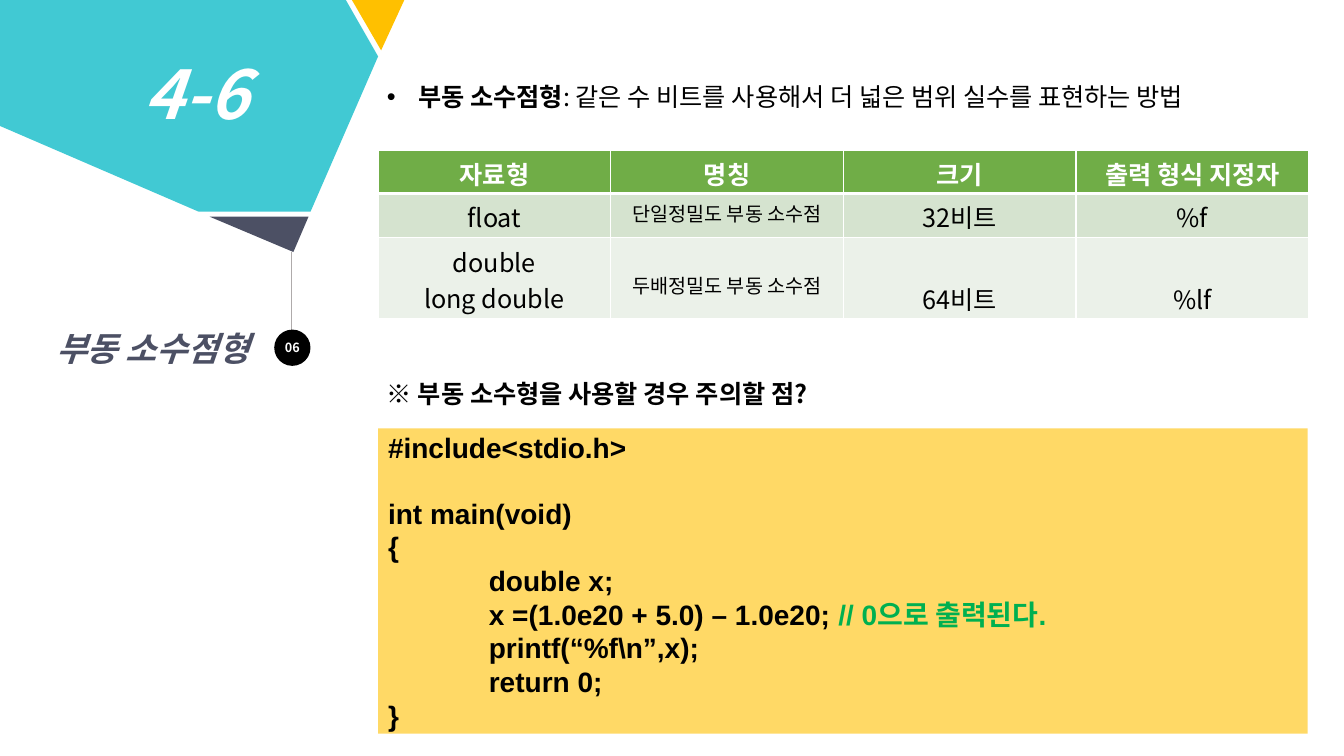
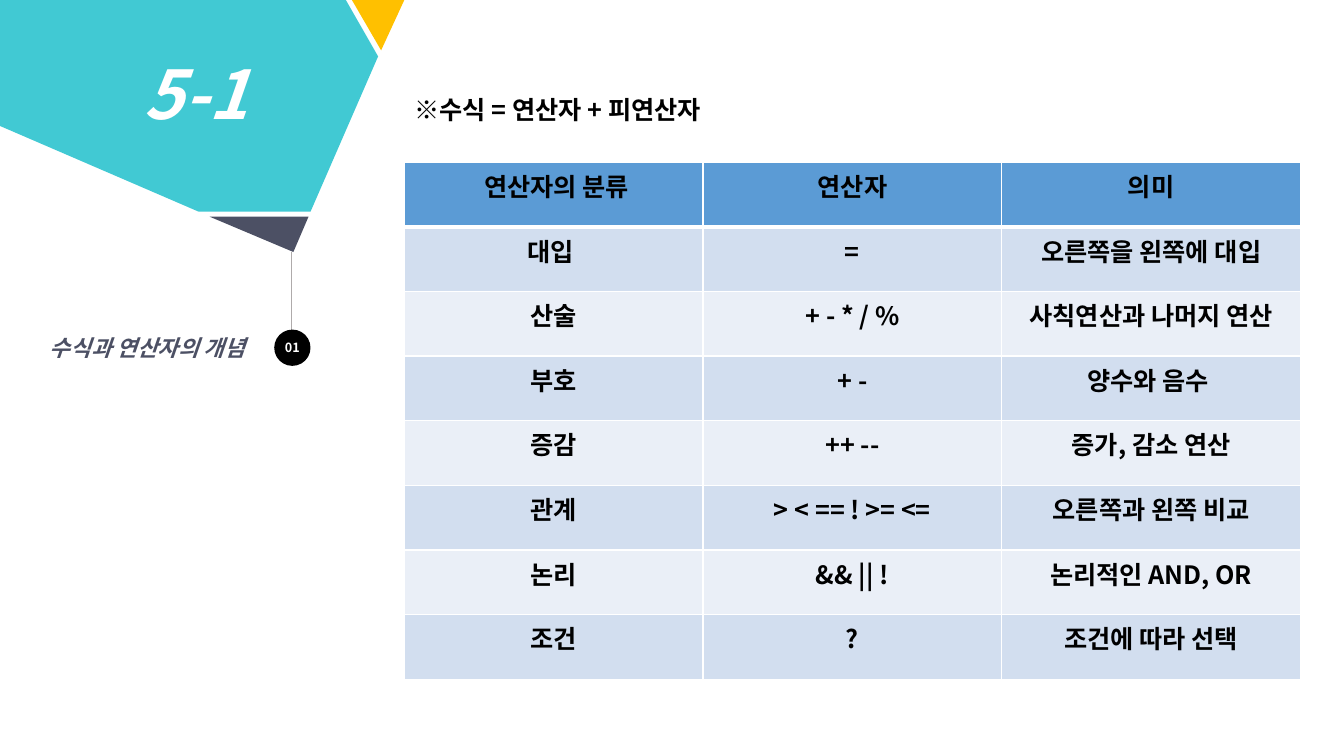
from dataclasses import dataclass
from typing import Any, Optional

from lxml import etree
from pptx import Presentation
from pptx import util as u
from pptx.dml.color import RGBColor
from pptx.enum import shapes, text
from pptx.oxml import ns

Inches, Pt = u.Inches, u.Pt

WHITE = RGBColor(0xFF, 0xFF, 0xFF)
BLACK = RGBColor(0x00, 0x00, 0x00)
TEAL = RGBColor(0x41, 0xC9, 0xD3)
AMBER = RGBColor(0xFF, 0xC0, 0x00)
SLATE = RGBColor(0x4C, 0x50, 0x64)
GRAY = RGBColor(0xAF, 0xAB, 0xAB)
SAND = RGBColor(0xFF, 0xD9, 0x66)
COMMENT = RGBColor(0x00, 0xB0, 0x50)
GREENS = (RGBColor(0x70, 0xAD, 0x47), RGBColor(0xD5, 0xE3, 0xCF), RGBColor(0xEB, 0xF1, 0xE9))
BLUES = (RGBColor(0x5B, 0x9B, 0xD5), RGBColor(0xD2, 0xDE, 0xEF), RGBColor(0xEA, 0xEF, 0xF7))

FONT = "Noto Sans CJK KR"
CODE_FONT = "Arial"
LEFT, CENTER, RIGHT = text.PP_ALIGN.LEFT, text.PP_ALIGN.CENTER, text.PP_ALIGN.RIGHT


@dataclass(frozen=True)
class Style:
    size: float = 18
    bold: bool = True
    italic: bool = False
    color: RGBColor = BLACK
    name: str = FONT


@dataclass(frozen=True)
class Box:
    left: float
    top: float
    width: float
    height: float

    def emu(self) -> tuple:
        return tuple(Inches(v) for v in (self.left, self.top, self.width, self.height))


@dataclass(frozen=True)
class Facet:
    color: RGBColor
    points: tuple


@dataclass(frozen=True)
class Section:
    number: str
    badge: str
    title: str
    title_box: Box
    title_size: float


@dataclass(frozen=True)
class CodeLine:
    text: str
    indent: float = 0
    space_before: float = 0
    comment: str = ""


@dataclass(frozen=True)
class Cell:
    text: str
    style: Style = Style()
    margin_top: float = 0.05


FACETS = (
    Facet(AMBER, ((3.49, 0), (4.01, 0), (3.78, 0.5))),
    Facet(TEAL, ((0, 0), (3.43, 0), (3.75, 0.56), (3.08, 2.1), (1.97, 2.1), (0, 1.25))),
    Facet(SLATE, ((2.08, 2.15), (3.06, 2.15), (2.91, 2.5))),
)

PLAIN = Style(bold=False)
SMALL = Style(size=14, bold=False)
HEAD = Style(color=WHITE)
FLOAT_ROWS = (
    tuple(Cell(t, HEAD) for t in ("자료형", "명칭", "크기", "출력 형식 지정자")),
    (Cell("float", PLAIN), Cell("단일정밀도 부동 소수점", SMALL),
     Cell("32비트", PLAIN), Cell("%f", PLAIN)),
    (Cell("double\nlong double", PLAIN), Cell("두배정밀도 부동 소수점", SMALL, 0.33),
     Cell("64비트", PLAIN, 0.42), Cell("%lf", PLAIN, 0.42)),
)

OPERATOR_ROWS = tuple(tuple(Cell(t) for t in row) for row in (
    (" 연산자의 분류", "연산자", "의미"),
    ("대입 ", "=", "오른쪽을 왼쪽에 대입"),
    ("산술", "+ - * / %", "사칙연산과 나머지 연산"),
    ("부호", "+ -", "양수와 음수 "),
    ("증감", "++ --", "증가, 감소 연산"),
    ("관계", "> < == ! >= <=", "오른쪽과 왼쪽 비교"),
    ("논리", "&& || !", "논리적인 AND, OR"),
    ("조건", "?", "조건에 따라 선택"),
))

CODE = (
    CodeLine("#include<stdio.h>"),
    CodeLine("int main(void)", space_before=23),
    CodeLine("{"),
    CodeLine("double x;", 1),
    CodeLine("x =(1.0e20 + 5.0) – 1.0e20; ", 1, comment="// 0으로 출력된다."),
    CodeLine(r"printf(“%f\n”,x);", 1),
    CodeLine("return 0;", 1),
    CodeLine("}"),
)


def add_run(p: Any, content: str, style: Style) -> None:
    r = p.add_run()
    r.text = content
    values = {"size": Pt(style.size), "bold": style.bold,
              "italic": style.italic, "name": style.name}
    for key, value in values.items():
        setattr(r.font, key, value)
    r.font.color.rgb = style.color
    east_asian = etree.SubElement(r.font._element, ns.qn("a:ea"))
    east_asian.set("typeface", FONT)


def set_indent(p: Any, left: float, first: float = 0) -> None:
    pPr = p._p.get_or_add_pPr()
    pPr.set("marL", str(Inches(left)))
    pPr.set("indent", str(Inches(first)))


def add_bullet(p: Any) -> None:
    set_indent(p, 0.31, -0.31)
    pPr = p._p.get_or_add_pPr()
    etree.SubElement(pPr, ns.qn("a:buFont")).set("typeface", CODE_FONT)
    etree.SubElement(pPr, ns.qn("a:buChar")).set("char", "•")


def add_text(slide: Any, box: Box, content: str, style: Style = Style(),
             align: Optional[text.PP_ALIGN] = LEFT, wrap: bool = False) -> Any:
    """Add a one-paragraph text box and return its paragraph."""
    tf = slide.shapes.add_textbox(*box.emu()).text_frame
    tf.word_wrap = wrap
    tf.auto_size = text.MSO_AUTO_SIZE.SHAPE_TO_FIT_TEXT
    p = tf.paragraphs[0]
    p.alignment = align
    add_run(p, content, style)
    return p


def paint(sp: Any, color: RGBColor) -> None:
    """Give a shape a flat fill with no outline or shadow."""
    sp.shadow.inherit = False
    sp.fill.solid()
    sp.fill.fore_color.rgb = color
    sp.line.fill.background()


def add_filled(slide: Any, kind: shapes.MSO_SHAPE, box: Box, color: RGBColor) -> Any:
    sp = slide.shapes.add_shape(kind, *box.emu())
    paint(sp, color)
    tf = sp.text_frame
    tf.vertical_anchor = text.MSO_ANCHOR.MIDDLE
    return tf


def add_facet(slide: Any, facet: Facet) -> None:
    points = [(Inches(x), Inches(y)) for x, y in facet.points]
    builder = slide.shapes.build_freeform(*points[0])
    builder.add_line_segments(points[1:], close=True)
    paint(builder.convert_to_shape(), facet.color)


def add_section_slide(prs: Any, section: Section) -> Any:
    """Add a blank slide with the faceted corner, badge and section titles."""
    slide = prs.slides.add_slide(prs.slide_layouts[6])
    stem = slide.shapes.add_connector(
        shapes.MSO_CONNECTOR.STRAIGHT, Inches(2.89), Inches(2.5), Inches(2.89), Inches(3.63))
    stem.line.color.rgb = GRAY
    stem.line.width = Pt(0.5)
    etree.SubElement(stem._element.spPr, ns.qn("a:effectLst"))
    for facet in FACETS:
        add_facet(slide, facet)

    tf = add_filled(slide, shapes.MSO_SHAPE.OVAL, Box(2.72, 3.27, 0.36, 0.36), BLACK)
    for side in ("left", "top", "right", "bottom"):
        setattr(tf, f"margin_{side}", 0)
    tf.paragraphs[0].alignment = CENTER
    add_run(tf.paragraphs[0], section.badge, Style(size=9, color=WHITE))

    add_text(slide, section.title_box, section.title,
             Style(size=section.title_size, italic=True, color=SLATE), RIGHT, wrap=True)
    add_text(slide, Box(1.33, 0.47, 1.26, 0.91), section.number,
             Style(size=48, italic=True, color=WHITE))
    return slide


def set_borders(cell: Any, top: float, bottom: float) -> None:
    tcPr = cell._tc.get_or_add_tcPr()
    for side, width in {"L": 1, "R": 1, "T": top, "B": bottom}.items():
        line = etree.SubElement(tcPr, ns.qn(f"a:ln{side}"), w=str(Pt(width)))
        fill = etree.SubElement(line, ns.qn("a:solidFill"))
        etree.SubElement(fill, ns.qn("a:srgbClr"), val=str(WHITE))


def add_banded_table(slide: Any, box: Box, rows: tuple, heights: tuple, colors: tuple) -> None:
    """Draw rows of cells; colors are the header, odd and even row fills."""
    table = slide.shapes.add_table(len(rows), len(rows[0]), *box.emu()).table
    for column in table.columns:
        column.width = Inches(box.width / len(rows[0]))
    for i, (row, height) in enumerate(zip(rows, heights)):
        table.rows[i].height = Inches(height)
        color = colors[0] if i == 0 else colors[2 - i % 2]
        for j, item in enumerate(row):
            cell = table.cell(i, j)
            set_borders(cell, top=3 if i == 1 else 1, bottom=3 if i == 0 else 1)
            cell.fill.solid()
            cell.fill.fore_color.rgb = color
            cell.margin_top = Inches(item.margin_top)
            tf = cell.text_frame
            for k, content in enumerate(item.text.split("\n")):
                p = tf.add_paragraph() if k else tf.paragraphs[0]
                p.alignment = CENTER
                add_run(p, content, item.style)


def add_code(slide: Any, box: Box, lines: tuple) -> None:
    tf = add_filled(slide, shapes.MSO_SHAPE.RECTANGLE, box, SAND)
    tf.word_wrap = True
    for i, line in enumerate(lines):
        p = tf.add_paragraph() if i else tf.paragraphs[0]
        p.alignment = LEFT
        p.space_before = Pt(line.space_before)
        set_indent(p, line.indent)
        add_run(p, line.text, Style(size=20, name=CODE_FONT))
        if line.comment:
            add_run(p, line.comment, Style(size=20, color=COMMENT, name=CODE_FONT))


def build_floating_point(prs: Any) -> None:
    slide = add_section_slide(
        prs, Section("4-6", "06", "부동 소수점형", Box(0.16, 3.2, 2.41, 0.5), 24))
    p = add_text(slide, Box(3.74, 0.76, 9.23, 0.4), "부동 소수점형", wrap=True)
    add_run(p, ": 같은 수 비트를 사용해서 더 넓은 범위 실수를 표현하는 방법", PLAIN)
    add_bullet(p)
    add_banded_table(slide, Box(3.75, 1.49, 9.23, 1.67), FLOAT_ROWS, (0.43, 0.44, 0.8), GREENS)
    add_text(slide, Box(3.74, 3.7, 4.93, 0.71), "※ 부동 소수형을 사용할 경우 주의할 점?")
    add_code(slide, Box(3.75, 4.25, 9.22, 3.03), CODE)


def build_operators(prs: Any) -> None:
    slide = add_section_slide(
        prs, Section("5-1", "01", "수식과 연산자의 개념", Box(0.12, 3.27, 2.41, 0.37), 16))
    box = Box(4.01, 1.61, 8.89, 5.13)
    count = len(OPERATOR_ROWS)
    add_banded_table(slide, box, OPERATOR_ROWS, (box.height / count,) * count, BLUES)
    add_text(slide, Box(4.01, 0.89, 3.44, 0.4), "※수식 = 연산자 + 피연산자")


def main() -> None:
    prs = Presentation()
    prs.slide_width, prs.slide_height = Inches(13.33), Inches(7.5)
    build_floating_point(prs)
    build_operators(prs)
    prs.save("out.pptx")


if __name__ == "__main__":
    main()
